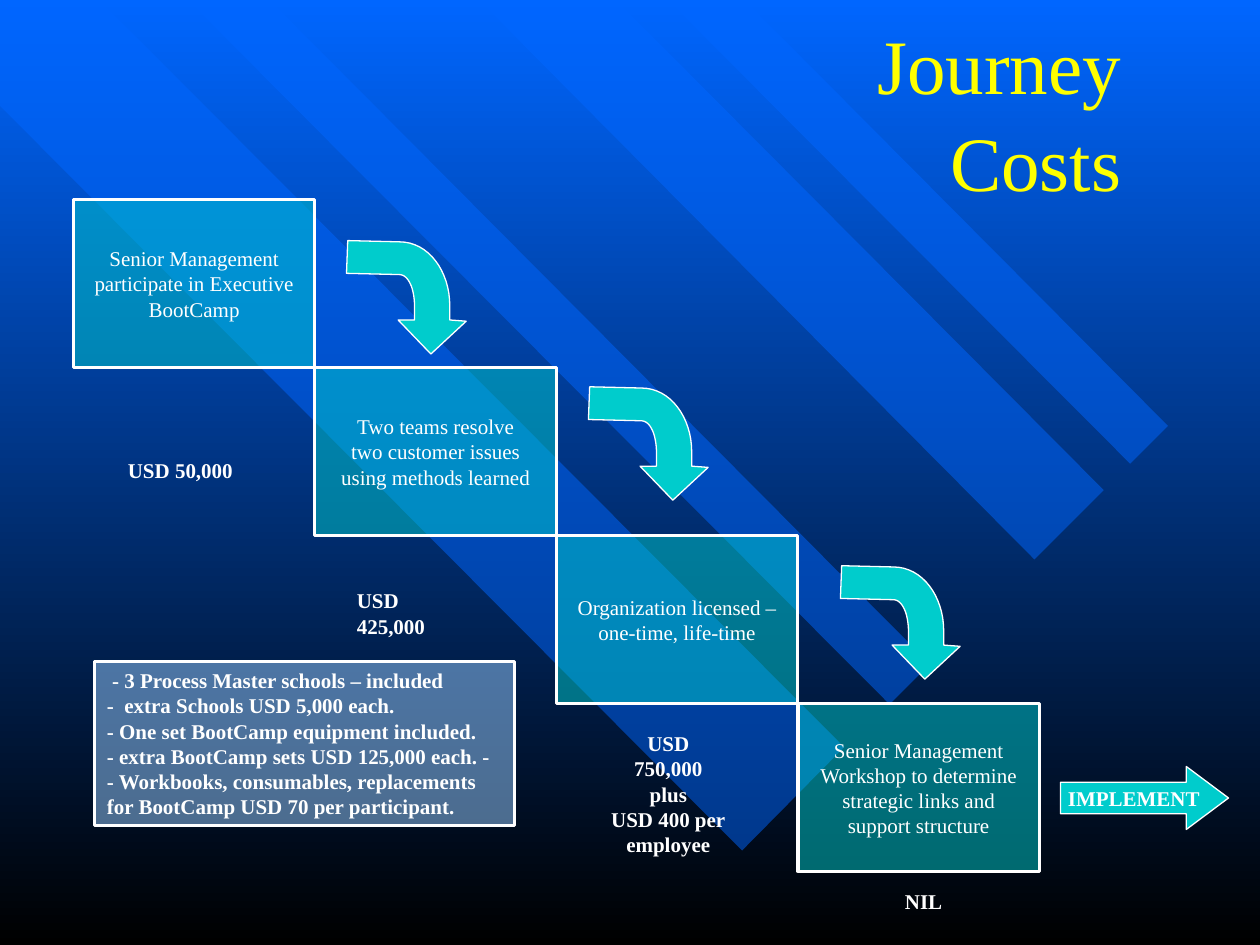
"""Build the Journey Costs slide: a staircase of four steps with their prices."""
from dataclasses import dataclass

from lxml import etree
from pptx import Presentation
from pptx.dml.color import RGBColor
from pptx.enum.shapes import MSO_SHAPE
from pptx.enum.text import MSO_ANCHOR, MSO_AUTO_SIZE, PP_ALIGN
from pptx.oxml.ns import qn
from pptx.util import Inches, Pt

LEFT, CENTER, RIGHT = PP_ALIGN.LEFT, PP_ALIGN.CENTER, PP_ALIGN.RIGHT
TOP, MIDDLE = MSO_ANCHOR.TOP, MSO_ANCHOR.MIDDLE
FIXED = MSO_AUTO_SIZE.NONE
RECTANGLE, RIGHT_ARROW = MSO_SHAPE.RECTANGLE, MSO_SHAPE.RIGHT_ARROW


@dataclass(frozen=True)
class Theme:
    """Colours, font and sizes of the slide."""
    sky: str = "0066FF"
    night: str = "000000"
    heading: str = "FFFF00"
    white: str = "FFFFFF"
    teal: str = "00CCCC"
    pale: str = "99CCFF"
    font: str = "Times New Roman"
    heading_size: int = 44
    body_size: int = 12
    frame_width: float = 1.75
    arrow_width: float = 0.75


THEME = Theme()
SLIDE_SIZE = Inches(10), Inches(7.5)
COLUMNS = 120
CELL = SLIDE_SIZE[0] / COLUMNS

TITLE = "Journey\nCosts"
TITLE_CELLS = (6, 3, 102, 15)

STEPS = [
    "Senior Management\nparticipate in Executive\nBootCamp",
    "Two teams resolve\ntwo customer issues\nusing methods learned",
    "Organization licensed –\none-time, life-time",
    "Senior Management\nWorkshop to determine\nstrategic links and\nsupport structure",
]
FIRST_STEP = (7, 19)
STEP_SIZE = (23, 16)

PRICES = [
    ("USD 50,000", (11, 43, 15, 3.6), LEFT),
    ("USD 425,000", (32.8, 55.4, 13.3, 3.6), LEFT),
    ("USD 750,000\nplus\nUSD 400 per\nemployee", (57, 69, 13.3, 10.8), CENTER),
    ("NIL", (85, 84, 10, 3.6), LEFT),
]

NOTES = """ - 3 Process Master schools – included
-  extra Schools USD 5,000 each.
- One set BootCamp equipment included.
- extra BootCamp sets USD 125,000 each. -
- Workbooks, consumables, replacements
for BootCamp USD 70 per participant."""
NOTES_CELLS = (9, 63, 40, 15.6)

OUTCOME = "IMPLEMENT"
OUTCOME_CELLS = (101, 73, 16, 6)

BANDS = [
    [(6.7, 5.93), (0.79, 0), (0, 0), (0, 0.84), (5.89, 6.75)],
    [(2.14, 0), (7.38, 5.27), (7.06, 5.59), (1.49, 0)],
    [(4.89, 0), (8.76, 3.89), (8.21, 4.44), (3.8, 0)],
    [(5.3, 0), (8.97, 3.68), (9.27, 3.38), (5.91, 0)],
]

ARROW_TAILS = [(2.76, 1.91), (4.68, 3.07), (6.68, 4.49)]
OUTER_BEND = [(0.41, 0.01), (0.64, 0.01), (0.81, 0.24), (0.81, 0.52)]
ARROW_HEAD = [(0.81, 0.63), (0.94, 0.64), (0.66, 0.9), (0.4, 0.63), (0.53, 0.63)]
INNER_BEND = [(0.53, 0.52), (0.53, 0.38), (0.48, 0.27), (0.41, 0.27)]
BEND_PIECES = 16


def apply(target, **values):
    for key, value in values.items():
        setattr(target, key, value)


def cells(*lengths):
    return [round(length * CELL) for length in lengths]


def paint(shape, fill, opacity=100, line=None, width=0):
    shape.shadow.inherit = False
    shape.fill.solid()
    shape.fill.fore_color.rgb = RGBColor.from_string(fill)
    if opacity < 100:
        color = shape._element.spPr.find(qn("a:solidFill"))[0]
        etree.SubElement(color, qn("a:alpha"), val=str(opacity * 1000))
    if line:
        shape.line.color.rgb = RGBColor.from_string(line)
        shape.line.width = Pt(width)
    else:
        shape.line.fill.background()


def write(shape, text, align, anchor=TOP, wrap=True, bold=False,
          size=THEME.body_size, color=THEME.white, spacing=1.0):
    frame = shape.text_frame
    frame.text = text
    apply(frame, auto_size=FIXED, word_wrap=wrap, vertical_anchor=anchor)
    for paragraph in frame.paragraphs:
        apply(paragraph, alignment=align, line_spacing=spacing)
        for run in paragraph.runs:
            apply(run.font, name=THEME.font, size=Pt(size), bold=bold)
            run.font.color.rgb = RGBColor.from_string(color)


def outline(shapes, points):
    start, *rest = [(Inches(x), Inches(y)) for x, y in points]
    builder = shapes.build_freeform(*start, scale=1.0)
    builder.add_line_segments(rest, close=True)
    return builder.convert_to_shape()


def bend(controls):
    points = []
    for piece in range(BEND_PIECES + 1):
        t = piece / BEND_PIECES
        weights = ((1 - t) ** 3, 3 * t * (1 - t) ** 2, 3 * t * t * (1 - t), t ** 3)
        points.append(tuple(sum(w * p[axis] for w, p in zip(weights, controls))
                            for axis in (0, 1)))
    return points


def add_backdrop(slide):
    fill = slide.background.fill
    fill.gradient()
    fill.gradient_angle = 270
    for stop, color in zip(fill.gradient_stops, (THEME.sky, THEME.night)):
        stop.color.rgb = RGBColor.from_string(color)
    bands = slide.shapes.add_group_shape()
    for points in BANDS:
        paint(outline(bands.shapes, points), THEME.sky, 50)
    slide.shapes.title._element.addprevious(bands._element)


def add_title(slide):
    title = slide.shapes.title
    apply(title, **dict(zip(("left", "top", "width", "height"), cells(*TITLE_CELLS))))
    write(title, TITLE, RIGHT, MIDDLE, size=THEME.heading_size,
          color=THEME.heading, spacing=1.05)


def add_steps(shapes):
    for index, text in enumerate(STEPS):
        corner = [start + index * size for start, size in zip(FIRST_STEP, STEP_SIZE)]
        step = shapes.add_shape(RECTANGLE, *cells(*corner, *STEP_SIZE))
        paint(step, THEME.teal, 50, THEME.white, THEME.frame_width)
        write(step, text, CENTER, MIDDLE, wrap=False)


def add_arrows(shapes):
    curve = [(0, 0), *bend(OUTER_BEND), *ARROW_HEAD, *bend(INNER_BEND), (-0.01, 0.26)]
    for left, top in ARROW_TAILS:
        arrow = outline(shapes, [(left + x, top + y) for x, y in curve])
        paint(arrow, THEME.teal, line=THEME.white, width=THEME.arrow_width)
    outcome = shapes.add_shape(RIGHT_ARROW, *cells(*OUTCOME_CELLS))
    outcome.adjustments[1] = 0.67
    paint(outcome, THEME.teal, line=THEME.white, width=THEME.arrow_width)
    write(outcome, OUTCOME, CENTER, MIDDLE, wrap=False, bold=True)


def add_prices(shapes):
    for text, place, align in PRICES:
        write(shapes.add_textbox(*cells(*place)), text, align, bold=True)
    notes = shapes.add_shape(RECTANGLE, *cells(*NOTES_CELLS))
    paint(notes, THEME.pale, 50, THEME.white, THEME.frame_width)
    write(notes, NOTES, LEFT, bold=True)


def main():
    deck = Presentation()
    deck.slide_width, deck.slide_height = SLIDE_SIZE
    slide = deck.slides.add_slide(deck.slide_layouts[5])
    add_backdrop(slide)
    add_title(slide)
    add_steps(slide.shapes)
    add_arrows(slide.shapes)
    add_prices(slide.shapes)
    deck.save("out.pptx")


if __name__ == "__main__":
    main()
